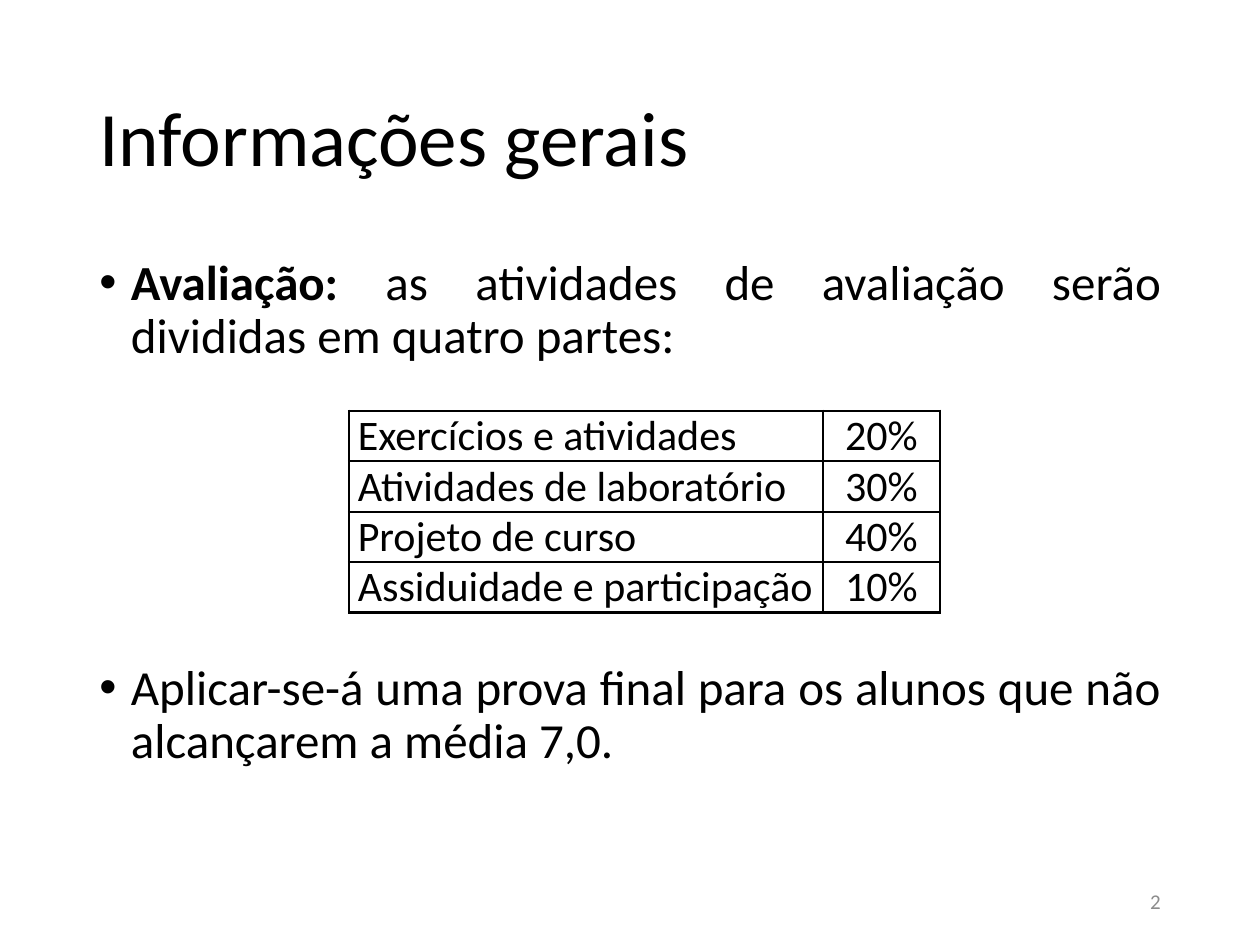
from dataclasses import dataclass

from lxml.etree import SubElement
from pptx import Presentation
from pptx.dml.color import RGBColor
from pptx.enum.text import MSO_ANCHOR, PP_ALIGN
from pptx.oxml.ns import qn
from pptx.util import Inches, Pt


@dataclass(frozen=True)
class Theme:
    font: str = "Calibri"
    ink: str = "000000"
    gray: str = "8C8C8C"
    title: int = 44
    body: int = 28
    cell: int = 24
    page: int = 12
    rule: float = 1.5


@dataclass(frozen=True)
class Box:
    left: float
    top: float
    width: float
    height: float

    def place(self) -> list:
        return [Inches(v) for v in (self.left, self.top, self.width, self.height)]


@dataclass(frozen=True)
class Point:
    lead: str
    text: str
    before: int


@dataclass(frozen=True)
class Grade:
    label: str
    share: str


THEME = Theme()
POINTS = [
    Point("Avaliação: ", "as atividades de avaliação serão divididas em quatro partes:", 10),
    Point("", "Aplicar-se-á uma prova final para os alunos que não alcançarem a média 7,0.", 171),
]
GRADES = [
    Grade("Exercícios e atividades", "20%"),
    Grade("Atividades de laboratório", "30%"),
    Grade("Projeto de curso", "40%"),
    Grade("Assiduidade e participação", "10%"),
]
WIDTHS = (3.76, 0.93)
ROW = 0.4


def style(para, size: int, color: str = THEME.ink, align=PP_ALIGN.LEFT) -> None:
    para.alignment = align
    para.font.name = THEME.font
    para.font.size = Pt(size)
    para.font.color.rgb = RGBColor.from_string(color)


def add_box(slide, box: Box, anchor=MSO_ANCHOR.MIDDLE):
    frame = slide.shapes.add_textbox(*box.place()).text_frame
    frame.word_wrap = True
    frame.vertical_anchor = anchor
    return frame


def add_point(para, point: Point) -> None:
    style(para, THEME.body, align=PP_ALIGN.JUSTIFY)
    para.line_spacing = 0.9
    para.space_before = Pt(point.before)
    if point.lead:
        lead = para.add_run()
        lead.text = point.lead
        lead.font.bold = True
    para.add_run().text = point.text
    # Hanging bullet, placed ahead of the default run properties
    props = para._p.get_or_add_pPr()
    props.set("marL", str(Inches(0.25)))
    props.set("indent", str(Inches(-0.25)))
    face = SubElement(props, qn("a:buFont"), typeface="Arial")
    mark = SubElement(props, qn("a:buChar"), char="•")
    base = props.find(qn("a:defRPr"))
    base.addprevious(face)
    base.addprevious(mark)


def fill_cell(cell, text: str, align) -> None:
    cell.margin_left = cell.margin_right = Inches(0.07)
    cell.margin_top = cell.margin_bottom = 0
    para = cell.text_frame.paragraphs[0]
    para.text = text
    style(para, THEME.cell, align=align)
    props = cell._tc.get_or_add_tcPr()
    for side in ("lnL", "lnR", "lnT", "lnB"):
        line = SubElement(props, qn(f"a:{side}"), w=str(Pt(THEME.rule)))
        paint = SubElement(line, qn("a:solidFill"))
        SubElement(paint, qn("a:srgbClr"), val=THEME.ink)
    cell.fill.background()


def add_grid(slide, left: float, top: float) -> None:
    box = Box(left, top, sum(WIDTHS), ROW * len(GRADES))
    table = slide.shapes.add_table(len(GRADES), len(WIDTHS), *box.place()).table
    table.first_row = table.horz_banding = False
    for col, width in zip(table.columns, WIDTHS):
        col.width = Inches(width)
    for row, grade in zip(table.rows, GRADES):
        row.height = Inches(ROW)
        fill_cell(row.cells[0], grade.label, PP_ALIGN.LEFT)
        fill_cell(row.cells[1], grade.share, PP_ALIGN.CENTER)


deck = Presentation()
deck.slide_width, deck.slide_height = Inches(10), Inches(7.5)
slide = deck.slides.add_slide(deck.slide_layouts[6])

# Title
title = add_box(slide, Box(0.69, 0.4, 8.62, 1.45)).paragraphs[0]
title.text = "Informações gerais"
title.line_spacing = 0.9
style(title, THEME.title)

# Page number
page = add_box(slide, Box(7.06, 6.95, 2.25, 0.4)).paragraphs[0]
page.text = "2"
style(page, THEME.page, THEME.gray, PP_ALIGN.RIGHT)

# Bullets, with room for the table between them
body = add_box(slide, Box(0.69, 2, 8.62, 4.76), MSO_ANCHOR.TOP)
for i, point in enumerate(POINTS):
    add_point(body.add_paragraph() if i else body.paragraphs[0], point)

# Grade weights
add_grid(slide, 2.77, 3.26)

deck.save("out.pptx")
